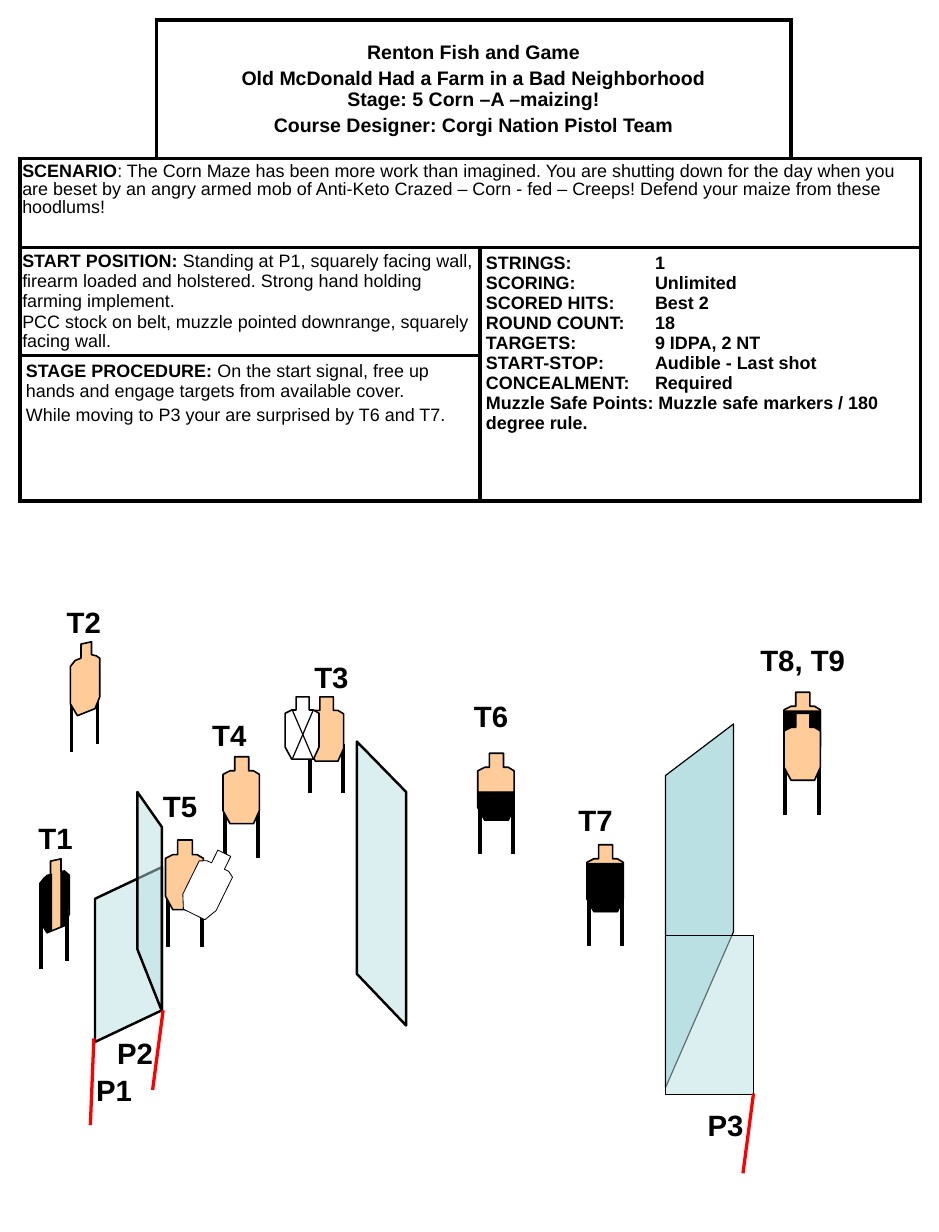
from dataclasses import dataclass

from lxml import etree
from pptx import Presentation
from pptx.dml.color import RGBColor
from pptx.enum.shapes import MSO_CONNECTOR
from pptx.enum.text import MSO_ANCHOR, MSO_AUTO_SIZE, PP_ALIGN
from pptx.oxml.ns import qn
from pptx.util import Cm, Pt

STRAIGHT = MSO_CONNECTOR.STRAIGHT
MIDDLE, TOP = MSO_ANCHOR.MIDDLE, MSO_ANCHOR.TOP
CENTER, LEFT = PP_ALIGN.CENTER, PP_ALIGN.LEFT
FIT = MSO_AUTO_SIZE.SHAPE_TO_FIT_TEXT
HEX = {"ink": "000000", "paper": "FFFFFF", "tan": "FFCC99",
       "wall": "BBE0E3", "red": "FF0000"}

Point = tuple[float, float]

# Target outlines, in inches from their top left corner
FRONT = [(.1, 0), (.22, 0), (.22, .12), (.26, .12), (.31, .15), (.31, .46),
         (.26, .57), (.06, .57), (0, .46), (0, .15), (.06, .12), (.1, .12)]
SLIM = [(.09, .02), (.18, 0), (.18, .11), (.22, .12), (.25, .14), (.25, .47),
        (.21, .57), (.06, .63), (0, .53), (0, .21), (.04, .16), (.09, .14)]
LOWER = [(.31, .46), (.26, .57), (.06, .57), (0, .46)]
HARD = [(0, .16), (.31, .16), *LOWER]
HALF = [(0, .33), (.31, .33), *LOWER]
SIDE_L = [(0, .53), (.06, .62), (.1, .61), (.1, .13), (.06, .14), (0, .21)]
SIDE_R = [(.18, .11), (.21, .1), (.25, .14), (.24, .46), (.22, .56), (.18, .58)]

# Legs as x, top and bottom
FRONT_LEGS = [(.02, .42, .86), (.3, .42, .86)]
SLIM_LEGS = [(.01, .51, .94), (.23, .44, .87)]


@dataclass
class Plate:
    pts: list[Point]
    fill: str = "tan"
    width: float = 1
    shift: Point = (0, 0)
    scale: float = 1
    turn: float = 0


@dataclass
class Target:
    left: float
    top: float
    plates: list[Plate]
    legs: list[tuple[float, float, float]]
    cross: bool = False


@dataclass
class Wall:
    pts: list[Point]
    width: float
    alpha: int = 50


@dataclass
class Label:
    text: str
    left: float
    top: float
    width: float = .76


@dataclass
class Para:
    runs: list[tuple[str, bool]]
    before: float = 0
    spacing: float = 1
    tab: bool = False


def to_cm(inch: float) -> int:
    return Cm(inch * 2.54)


def color(name: str) -> RGBColor:
    return RGBColor.from_string(HEX[name])


def add_run(para, text: str, size: float, bold: bool) -> None:
    run = para.add_run()
    run.text = text
    for key, val in {"name": "Arial", "size": Pt(size), "bold": bold}.items():
        setattr(run.font, key, val)
    run.font.color.rgb = color("ink")


def add_line(shapes, start: Point, end: Point, width: float,
             ink: str = "ink") -> None:
    line = shapes.add_connector(STRAIGHT, *map(to_cm, (*start, *end)))
    line.line.color.rgb = color(ink)
    line.line.width = Pt(width)
    etree.SubElement(line._element.spPr, qn("a:effectLst"))


def add_poly(shapes, pts: list[Point], fill: str, width: float,
             alpha: int = 100, turn: float = 0) -> None:
    first, *rest = [(to_cm(x), to_cm(y)) for x, y in pts]
    pen = shapes.build_freeform(*first)
    pen.add_line_segments(rest, close=True)
    poly = pen.convert_to_shape()
    poly.shadow.inherit = False
    poly.fill.solid()
    poly.fill.fore_color.rgb = color(fill)
    if alpha < 100:
        tint = poly._element.spPr.find(qn("a:solidFill"))[0]
        etree.SubElement(tint, qn("a:alpha"), val=str(alpha * 1000))
    poly.line.color.rgb = color("ink")
    poly.line.width = Pt(width)
    poly.rotation = turn


def add_target(slide, aim: Target) -> None:
    shapes = slide.shapes.add_group_shape().shapes
    for x, top, low in aim.legs:
        add_line(shapes, (aim.left + x, aim.top + top),
                 (aim.left + x, aim.top + low), 2.25)
    for plate in aim.plates:
        left, top = aim.left + plate.shift[0], aim.top + plate.shift[1]
        pts = [(left + x * plate.scale, top + y * plate.scale)
               for x, y in plate.pts]
        add_poly(shapes, pts, plate.fill, plate.width, turn=plate.turn)
    if aim.cross:
        for x, end in ((2.49, 2.67), (2.67, 2.49)):
            add_line(shapes, (x, 6.05), (end, 6.47), .75)


def add_label(slide, mark: Label) -> None:
    box = slide.shapes.add_textbox(
        *map(to_cm, (mark.left, mark.top, mark.width, .4)))
    box.text_frame.word_wrap = True
    box.text_frame.auto_size = FIT
    add_run(box.text_frame.paragraphs[0], mark.text, 18, True)


def fill_cell(cell, paras: list[Para], inset: Point, size: float = 11,
              align=LEFT, anchor=TOP) -> None:
    side, edge = map(to_cm, inset)
    form = {"margin_left": side, "margin_right": side, "margin_top": edge,
            "margin_bottom": edge, "vertical_anchor": anchor}
    for key, val in form.items():
        setattr(cell, key, val)
    for i, item in enumerate(paras):
        frame = cell.text_frame
        para = frame.add_paragraph() if i else frame.paragraphs[0]
        form = {"alignment": align, "line_spacing": item.spacing,
                "space_before": Pt(item.before)}
        for key, val in form.items():
            setattr(para, key, val)
        if item.tab:
            tabs = etree.SubElement(para._p.get_or_add_pPr(), qn("a:tabLst"))
            etree.SubElement(tabs, qn("a:tab"), pos=str(Cm(3.66)), algn="l")
        for text, bold in item.runs:
            add_run(para, text, size, bold)


def add_border(cell, sides: str) -> None:
    props = cell._tc.get_or_add_tcPr()
    for side in "LRTB":
        line = etree.SubElement(props, qn(f"a:ln{side}"), w=str(Pt(2.25)))
        if side in sides:
            fill = etree.SubElement(line, qn("a:solidFill"))
            etree.SubElement(fill, qn("a:srgbClr"), val=HEX["ink"])
        else:
            etree.SubElement(line, qn("a:noFill"))
    cell.fill.solid()
    cell.fill.fore_color.rgb = color("paper")


def add_brief(slide) -> None:
    cols, rows = (1.16, 2.76, 2.65, 1.1), (1.18, .76, .92, 1.24)
    grid = slide.shapes.add_table(4, 4, *map(
        to_cm, (.17, .17, sum(cols), sum(rows)))).table
    grid.first_row = grid.horz_banding = False
    for col, width in zip(grid.columns, cols):
        col.width = to_cm(width)
    for row, height in zip(grid.rows, rows):
        row.height = to_cm(height)
    for r in range(4):
        for c in range(4):
            add_border(grid.cell(r, c), {(0, 0): "RB", (0, 3): "LB"}.get((r, c), "LRTB"))
    for start, end in (((0, 1), (0, 2)), ((1, 0), (1, 3)), ((2, 0), (2, 1)),
                       ((2, 2), (3, 3)), ((3, 0), (3, 1))):
        grid.cell(*start).merge(grid.cell(*end))
    for spot, paras, form in BRIEF:
        fill_cell(grid.cell(*spot), paras, **form)


# Words of the stage brief
FACTS = {"STRINGS:": "1", "SCORING:": "Unlimited", "SCORED HITS:": "Best 2",
         "ROUND COUNT:": "18", "TARGETS:": "9 IDPA, 2 NT",
         "START-STOP:": "Audible - Last shot", "CONCEALMENT:": "Required"}
BRIEF = [
    ((0, 1), [Para([("Renton Fish and Game", True)]),
              Para([("Old McDonald Had a Farm in a Bad Neighborhood", True)], 2.4),
              Para([("Stage: 5 Corn –A –maizing!", True)]),
              Para([("Course Designer: Corgi Nation Pistol Team", True)], 2.4)],
     {"inset": (.05, .05), "size": 12, "align": CENTER, "anchor": MIDDLE}),
    ((1, 0), [Para([("SCENARIO", True), (
        ": The Corn Maze has been more work than imagined. You are shutting down for "
        "the day when you are beset by an angry armed mob of Anti-Keto Crazed – Corn - "
        "fed – Creeps! Defend your maize from these hoodlums!", False)], spacing=.9)],
     {"inset": (.02, .04)}),
    ((2, 0), [Para([("START POSITION: ", True), (
        "Standing at P1, squarely facing wall, firearm loaded and holstered. "
        "Strong hand holding farming implement.", False)]),
        Para([("PCC stock on belt, muzzle pointed downrange, squarely facing wall.",
               False)], .55)], {"inset": (.02, .03)}),
    ((2, 2), [*(Para([(f"{key}\t{val}", True)], tab=True) for key, val in FACTS.items()),
              Para([("Muzzle Safe Points: Muzzle safe markers / 180 degree rule.", True)])],
     {"inset": (.05, .05)}),
    ((3, 0), [Para([("STAGE PROCEDURE: ", True), (
        "On the start signal, free up hands and engage targets from available cover.",
        False)]),
        Para([("While moving to P3 your are surprised by T6 and T7.", False)], 2.2)],
     {"inset": (.05, .05)}),
]

# Layout of the range
WALLS = [
    Wall([(.81, 7.66), (1.38, 7.39), (1.38, 8.61), (.81, 8.88)], 1.5),
    Wall([(1.38, 7.05), (1.17, 6.75), (1.17, 8.09), (1.38, 8.62)], 1.5),
    Wall([(5.67, 9.27), (5.67, 6.61), (6.25, 6.17), (6.25, 7.94)], .75, 100),
    Wall([(5.67, 7.97), (6.42, 7.97), (6.42, 9.33), (5.67, 9.33)], .75),
    Wall([(3.46, 6.75), (3.04, 6.32), (3.04, 8.3), (3.46, 8.74)], 1.5),
]
TARGETS = [
    Target(.6, 5.47, [Plate(SLIM)], SLIM_LEGS),
    Target(.34, 7.32, [Plate(SLIM), Plate(SIDE_L, "ink", 0),
                       Plate(SIDE_R, "ink", 0)], SLIM_LEGS),
    Target(1.9, 6.45, [Plate(FRONT)], FRONT_LEGS),
    Target(1.41, 7.16, [Plate(FRONT, scale=1.04),
                        Plate(FRONT, "paper", .5, (.21, .08), 1.02, 26.2)],
           [(.02, .15, .91), (.31, .15, .91)]),
    Target(2.63, 5.94, [Plate(FRONT, scale=.96),
                        Plate(FRONT, "paper", shift=(-.2, 0), scale=.93)],
           [(.01, .4, .82), (.29, .4, .82)], cross=True),
    Target(5, 7.2, [Plate(FRONT), Plate(HARD, "ink", 0)], FRONT_LEGS),
    Target(4.07, 6.42, [Plate(FRONT), Plate(HALF, "ink", 0)], FRONT_LEGS),
    Target(6.68, 5.9, [Plate(FRONT), Plate(HARD, "ink", 0),
                       Plate(FRONT, shift=(0, .18))],
           [(.01, .42, 1.05), (.3, .42, 1.05)]),
]
FAULTS = [((.8, 8.85), (.77, 9.59)), ((1.39, 8.61), (1.3, 9.29)),
          ((6.42, 9.32), (6.33, 10))]
LABELS = [
    Label("P1", .72, 9.09, .58), Label("P2", .9, 8.77, .58),
    Label("P3", 5.93, 9.39, .58), Label("T1", .23, 6.94), Label("T2", .47, 5.1),
    Label("T3", 2.58, 5.57), Label("T4", 1.71, 6.06), Label("T5", 1.29, 6.67),
    Label("T6", 3.94, 5.9), Label("T7", 4.83, 6.79), Label("T8, T9", 6.38, 5.42, 1.16),
]


def main() -> None:
    deck = Presentation()
    deck.slide_width, deck.slide_height = to_cm(8), to_cm(10.5)
    slide = deck.slides.add_slide(deck.slide_layouts[6])
    add_brief(slide)
    for wall in WALLS:
        add_poly(slide.shapes, wall.pts, "wall", wall.width, wall.alpha)
    for aim in TARGETS:
        add_target(slide, aim)
    for start, end in FAULTS:
        add_line(slide.shapes, start, end, 2, "red")
    for mark in LABELS:
        add_label(slide, mark)
    deck.save("out.pptx")


if __name__ == "__main__":
    main()
